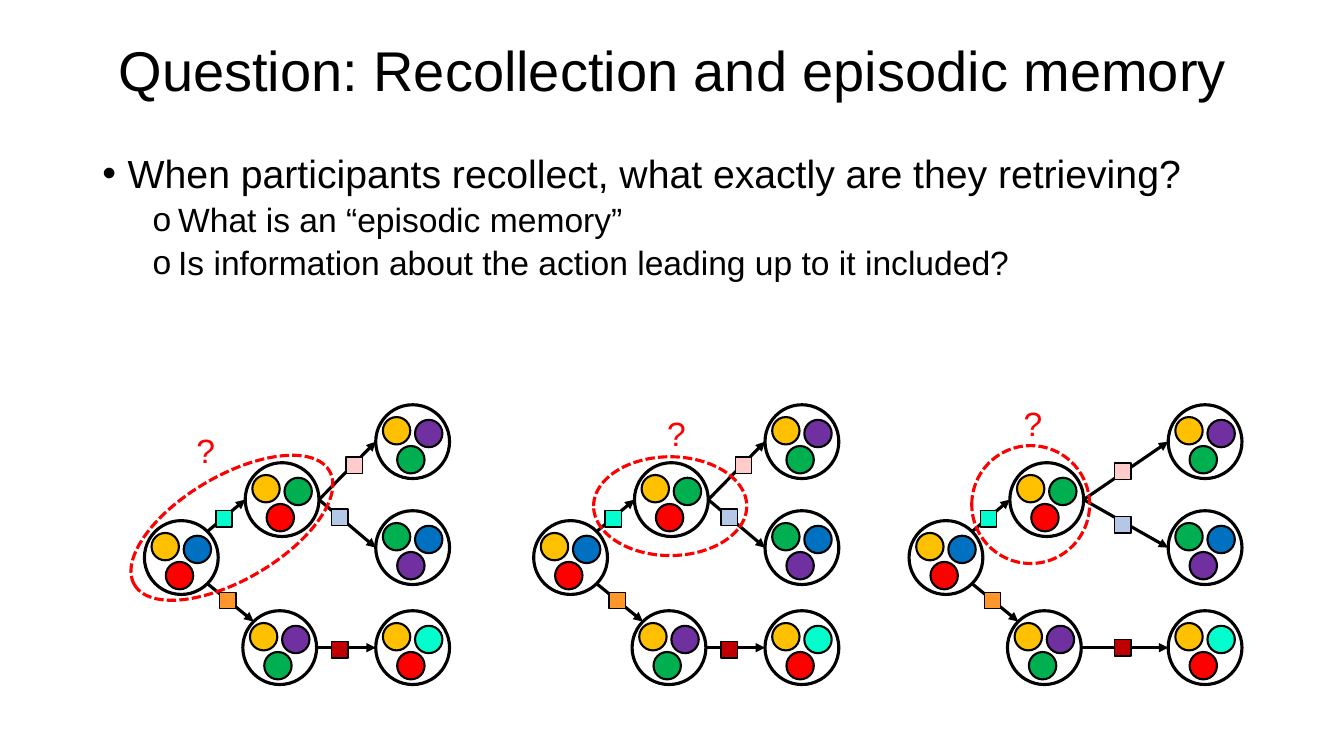
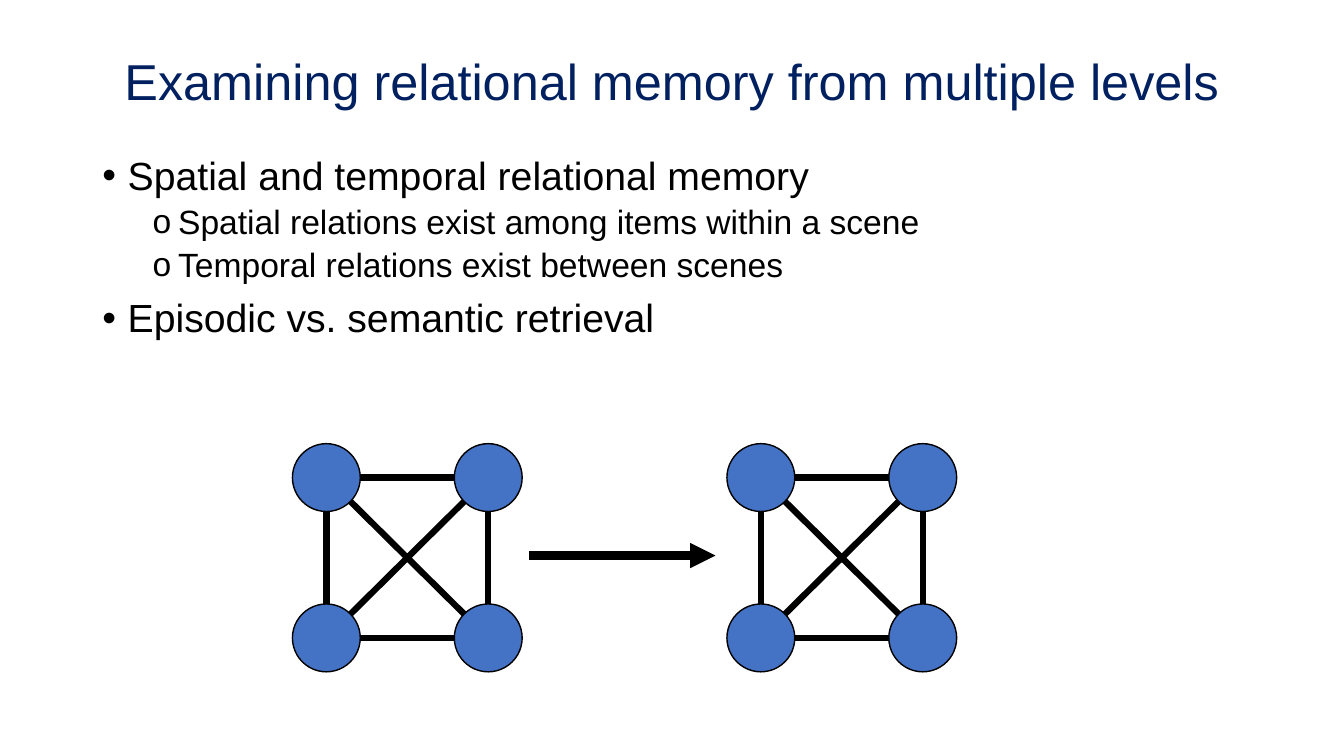
import math
import itertools
import lxml.etree
import pptx
import pptx.util
import pptx.dml.color
import pptx.enum.dml
import pptx.enum.shapes
import pptx.enum.text
import pptx.oxml.ns

Cm, Pt = pptx.util.Cm, pptx.util.Pt
SHAPE = pptx.enum.shapes.MSO_SHAPE
ANCHOR = pptx.enum.text.MSO_ANCHOR
ALIGN = pptx.enum.text.PP_ALIGN

FONT = "Arial"
BLACK, WHITE, NAVY, BLUE = "000000", "FFFFFF", "002060", "4472C4"
GOLD, RED, AZURE, GREEN = "FFC000", "FF0000", "0070C0", "00B050"
PLUM, TEAL = "7030A0", "00FFCC"

# Tree: circle size, dots inside a circle, item size (cm)
DISC, DOT, TAG, NODE = 1.86, 0.69, 0.41, 1.71
SPOTS = [(0.18, 0.31), (0.99, 0.38), (0.54, 1.04)]
TOP = 13.12
TAGS = [TEAL, "FE962B", "C00000", "B4C7E7", "FFCCCC"]
NEAR = [(1.8, -0.25), (1.9, 1.81)]
SHORT = NEAR + [(4.72, 3.05), (4.72, -0.29), (5.08, -1.6)]
LONG = NEAR + [(5.18, 3), (5.18, -0.1), (5.18, -1.45)]


def color(code):
    return pptx.dml.color.RGBColor.from_string(code)


def child(parent, tag, **attrs):
    return lxml.etree.SubElement(parent, pptx.oxml.ns.qn(tag), attrs)


# Text
def box(slide, left, top, width, height, wrap=True):
    frame = slide.shapes.add_textbox(Cm(left), Cm(top), Cm(width), Cm(height)).text_frame
    frame.word_wrap = wrap
    return frame


def write(para, text, size, ink=BLACK):
    run = para.add_run()
    run.text = text
    run.font.name, run.font.size = FONT, Pt(size)
    run.font.color.rgb = color(ink)


def title(slide, text, top, height, size, ink=BLACK):
    frame = box(slide, 2.33, top, 29.21, height)
    frame.vertical_anchor = ANCHOR.MIDDLE
    para = frame.paragraphs[0]
    para.alignment, para.line_spacing = ALIGN.CENTER, 0.9
    write(para, text, size, ink)


def points(slide, top, width, height, rows):
    frame = box(slide, 2.33, top, width, height)
    for num, (level, text) in enumerate(rows):
        para = frame.add_paragraph() if num else frame.paragraphs[0]
        props = para._p.get_or_add_pPr()
        props.set("marL", str(Cm(0.64 + 1.27 * level)))
        props.set("indent", str(Cm(-0.64)))
        child(props, "a:buFont", typeface=FONT)
        child(props, "a:buChar", char="•o"[level])
        para.line_spacing = 0.9
        if num:
            para.space_before = Pt((10, 5)[level])
        write(para, text, (28, 24)[level])


# Shapes
def draw(slide, kind, left, top, width, height, fill, line=BLACK, weight=1):
    shape = slide.shapes.add_shape(kind, Cm(left), Cm(top), Cm(width), Cm(height))
    shape.shadow.inherit = False
    if fill:
        shape.fill.solid()
        shape.fill.fore_color.rgb = color(fill)
    else:
        shape.fill.background()
    shape.line.color.rgb = color(line)
    shape.line.width = Pt(weight)
    return shape


def link(slide, start, end, weight, arrow=False):
    kind = pptx.enum.shapes.MSO_CONNECTOR.STRAIGHT
    line = slide.shapes.add_connector(kind, *[Cm(v) for v in (*start, *end)])
    line.line.color.rgb = color(BLACK)
    line.line.width = Pt(weight)
    if arrow:
        child(line.line._get_or_add_ln(), "a:tailEnd", type="triangle")
    child(line._element.spPr, "a:effectLst")


def rim(spot, size, angle):
    """Point on a circle at an angle in degrees, clockwise from the right."""
    turn, half = math.radians(angle), size / 2
    return (spot[0] + half + half * math.cos(turn),
            spot[1] + half + half * math.sin(turn))


# Diagrams
def tree(slide, left, far, tags):
    plan = {
        "root": (0, 0, GOLD, AZURE, RED),
        "up": (2.54, -1.46, GOLD, GREEN, RED),
        "down": (2.48, 2.27, GOLD, PLUM, GREEN),
        "high": (far, -2.92, GOLD, PLUM, GREEN),
        "mid": (far, -0.25, GREEN, AZURE, PLUM),
        "low": (far, 2.27, GOLD, TEAL, RED),
    }
    edges = [("root", -45, "up", 180), ("root", 45, "down", 225),
             ("up", 0, "high", 180), ("up", 0, "mid", 180), ("down", 0, "low", 180)]
    spots = {}
    for name, (x, y, *inks) in plan.items():
        spots[name] = px, py = left + x, TOP + y
        draw(slide, SHAPE.OVAL, px, py, DISC, DISC, WHITE, weight=2.25)
        for (dx, dy), ink in zip(SPOTS, inks):
            draw(slide, SHAPE.OVAL, px + dx, py + dy, DOT, DOT, ink, weight=1.5)
    for start, out, end, into in edges:
        link(slide, rim(spots[start], DISC, out), rim(spots[end], DISC, into), 2.25, True)
    for (x, y), ink in zip(tags, TAGS):
        draw(slide, SHAPE.RECTANGLE, left + x, TOP + y, TAG, TAG, ink)


def ring(slide, area, turn, mark):
    shape = draw(slide, SHAPE.OVAL, *area, None, RED, 2.25)
    shape.line.dash_style = pptx.enum.dml.MSO_LINE.SQUARE_DOT
    shape.rotation = turn
    write(box(slide, *mark, 0.99, 1.27, False).paragraphs[0], "?", 24, RED)


def net(slide, left, top):
    spots = [(left + x, top + y) for x in (0, 4.08) for y in (0, 4.04)]
    for spot in spots:
        draw(slide, SHAPE.OVAL, *spot, NODE, NODE, BLUE)
    for a, b in itertools.combinations(spots, 2):
        angle = math.degrees(math.atan2(b[1] - a[1], b[0] - a[0]))
        link(slide, rim(a, NODE, angle), rim(b, NODE, angle + 180), 4.5)


def main():
    deck = pptx.Presentation()
    deck.slide_width, deck.slide_height = Cm(33.87), Cm(19.05)
    blank = deck.slide_layouts[6]

    # Recollection question
    slide = deck.slides.add_slide(blank)
    title(slide, "Question: Recollection and episodic memory", 0, 3.68, 40)
    points(slide, 3.76, 29.21, 8.48, [
        (0, "When participants recollect, what exactly are they retrieving?"),
        (1, "What is an “episodic memory”"),
        (1, "Is information about the action leading up to it included?")])
    for left, far, tags, area, turn, mark in [
            (3.64, 5.83, SHORT, (3, 11.99, 5.69, 2.62), 329.7, (4.7, 10.72)),
            (13.45, 5.83, SHORT, (14.96, 11.51, 3.86, 2.49), 0, (16.56, 10.29)),
            (22.91, 6.53, LONG, (24.49, 11.23, 2.97, 2.97), 0, (25.55, 10.03))]:
        tree(slide, left, far, tags)
        ring(slide, area, turn, mark)

    # Levels of relational memory
    slide = deck.slides.add_slide(blank)
    title(slide, "Examining relational memory from multiple levels", 0.61, 3.02, 36, NAVY)
    points(slide, 3.81, 29.9, 7.59, [
        (0, "Spatial and temporal relational memory"),
        (1, "Spatial relations exist among items within a scene"),
        (1, "Temporal relations exist between scenes"),
        (0, "Episodic vs. semantic retrieval")])
    for left in (7.37, 18.32):
        net(slide, left, 11.18)
    link(slide, (13.34, 14), (18.03, 14), 6, True)

    deck.save("out.pptx")


if __name__ == "__main__":
    main()
